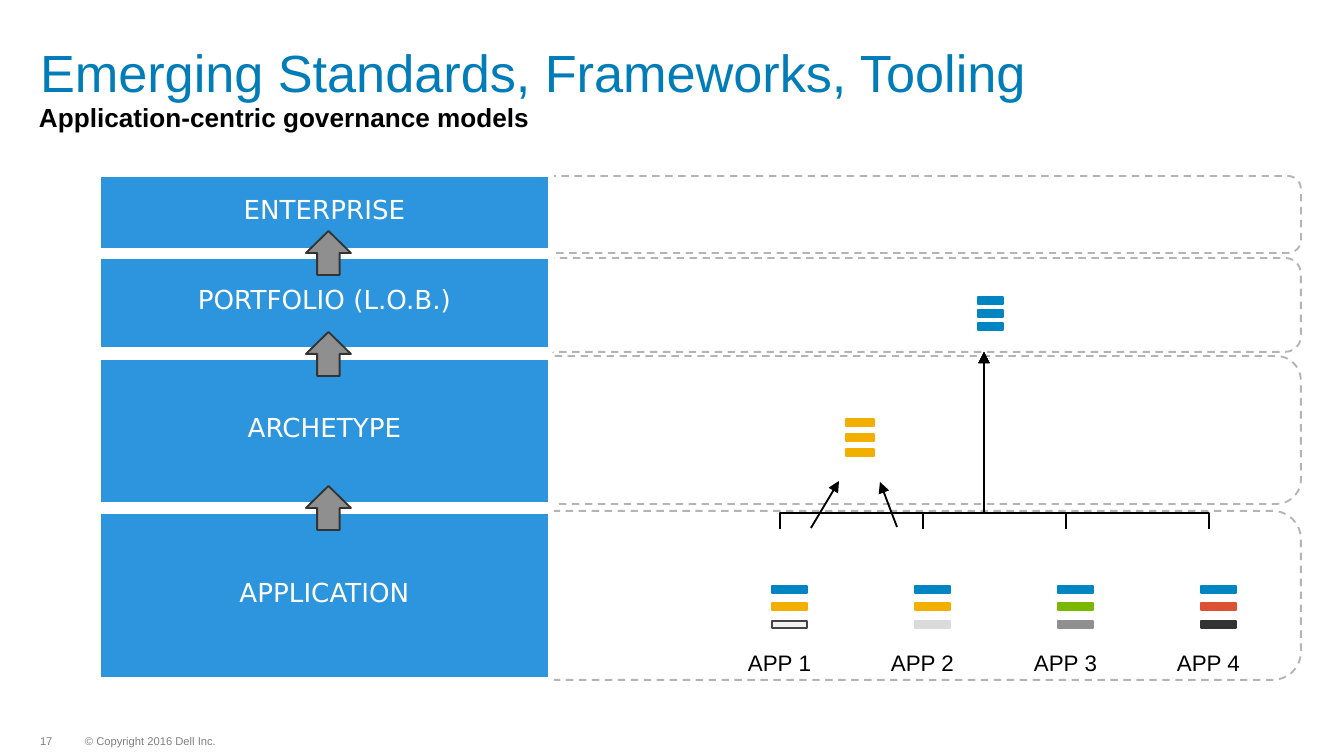
import dataclasses

import pptx
import pptx.dml.color
import pptx.enum.dml
import pptx.enum.shapes
import pptx.enum.text
import pptx.oxml
import pptx.oxml.ns
import pptx.util

PX = 914400 / 134.4
SHAPE = pptx.enum.shapes.MSO_SHAPE
CONNECTOR = pptx.enum.shapes.MSO_CONNECTOR
ALIGN = pptx.enum.text.PP_ALIGN
ANCHOR = pptx.enum.text.MSO_ANCHOR


@dataclasses.dataclass(frozen=True)
class Theme:
    font: str = "Arial"
    level_font: str = "DejaVu Sans"
    title: str = "007DB8"
    level: str = "2C95DD"
    white: str = "FFFFFF"
    black: str = "000000"
    dash: str = "B4B4B4"
    footer: str = "7F7F7F"
    blue: str = "0085C3"
    yellow: str = "F2AF00"
    green: str = "7AB800"
    red: str = "DC5034"
    gray: str = "8F8F8F"
    silver: str = "DADADA"
    pale: str = "F2F2F2"
    pale_edge: str = "444444"
    dark: str = "333333"
    title_size: int = 28
    body_size: int = 14
    label_size: int = 12
    footer_size: int = 6


theme = Theme()


def add_box(kind, frame, fill, line, line_width=1):
    """Add a preset shape; frame is left, top, width, height in px."""
    box = slide.shapes.add_shape(kind, *(round(value * PX) for value in frame))
    box.shadow.inherit = False
    if fill:
        box.fill.solid()
        box.fill.fore_color.rgb = pptx.dml.color.RGBColor.from_string(fill)
    else:
        box.fill.background()
    box.line.color.rgb = pptx.dml.color.RGBColor.from_string(line)
    box.line.width = pptx.util.Pt(line_width)
    return box


def write(box, text, size, color, font=theme.font, align=ALIGN.LEFT,
          anchor=ANCHOR.TOP, insets=(0, 7, 0, 7), wrap=True, spacing=1.0, bold=False):
    """Put one formatted paragraph in a box; insets are left, top, right, bottom px."""
    frame = box.text_frame
    frame.text = text
    frame.word_wrap = wrap
    frame.auto_size = pptx.enum.text.MSO_AUTO_SIZE.NONE
    frame.vertical_anchor = anchor
    (frame.margin_left, frame.margin_top,
     frame.margin_right, frame.margin_bottom) = (round(inset * PX) for inset in insets)
    para = frame.paragraphs[0]
    para.alignment = align
    para.line_spacing = spacing
    para.space_before = pptx.util.Pt(0)
    span = para.runs[0]
    span.font.name = font
    span.font.size = pptx.util.Pt(size)
    span.font.bold = bold
    span.font.color.rgb = pptx.dml.color.RGBColor.from_string(color)


deck = pptx.Presentation()
deck.slide_width = round(1344 * PX)
deck.slide_height = round(756 * PX)
slide = deck.slides.add_slide(deck.slide_layouts[5])

# Title, subtitle and footer
title = slide.shapes.title
title.left, title.top, title.width, title.height = (
    round(value * PX) for value in (40, 40, 1169, 94))
write(title, "Emerging Standards, Frameworks, Tooling", theme.title_size, theme.title,
      spacing=0.9)

subtitle = slide.shapes.add_textbox(*(round(value * PX) for value in (39, 94, 1171, 46)))
write(subtitle, "Application-centric governance models", theme.body_size, theme.black,
      bold=True)

for left, width, text in [(40, 14, "17"), (85, 132, "© Copyright 2016 Dell Inc.")]:
    footer = slide.shapes.add_textbox(
        *(round(value * PX) for value in (left, 736, width, 12)))
    write(footer, text, theme.footer_size, theme.footer, anchor=ANCHOR.MIDDLE,
          insets=(0, 0, 0, 0), wrap=False, spacing=0.9)

# Governance levels: name, band top, box top, height
levels = [
    ("ENTERPRISE", 176, 174, 77),
    ("PORTFOLIO (L.O.B.)", 258, 256, 94),
    ("ARCHETYPE", 356, 357, 148),
    ("APPLICATION", 511, 511, 169),
]
for name, band_top, box_top, height in levels:
    band = add_box(SHAPE.ROUNDED_RECTANGLE, (504, band_top, 797, height), None, theme.dash)
    band.line.dash_style = pptx.enum.dml.MSO_LINE.DASH
for name, band_top, box_top, height in levels:
    box = add_box(SHAPE.RECTANGLE, (98, box_top, 453, height), theme.level, theme.white, 3)
    write(box, name, theme.body_size, theme.white, font=theme.level_font,
          align=ALIGN.CENTER, anchor=ANCHOR.MIDDLE, insets=(0, 0, 0, 7))
for top in (486, 332, 231):
    add_box(SHAPE.UP_ARROW, (306, top, 45, 44), theme.gray, theme.dark)

# Stacks of policy bars: left, top, bar width, row step, colours
APP_STEP = 143
app_colors = [
    (theme.blue, theme.yellow, theme.pale),
    (theme.blue, theme.yellow, theme.silver),
    (theme.blue, theme.green, theme.gray),
    (theme.blue, theme.red, theme.dark),
]
stacks = [
    (978, 297, 25, 13, (theme.blue,) * 3),
    (846, 419, 28, 15, (theme.yellow,) * 3),
]
for app, colors in enumerate(app_colors):
    stacks.append((772 + app * APP_STEP, 586, 35, 17.5, colors))
for left, top, width, step, colors in stacks:
    for row, color in enumerate(colors):
        edge = theme.pale_edge if color == theme.pale else color
        add_box(SHAPE.RECTANGLE, (left, top + row * step, width, 7), color, edge)

# Arrows: the first two rise to the archetype, the elbows meet at the portfolio
arrows = [
    (CONNECTOR.STRAIGHT, (811, 528, 839, 481), None),
    (CONNECTOR.STRAIGHT, (897, 527, 880, 482), None),
]
end_x, end_y, start_y = 984, 352, 529
for app in range(len(app_colors)):
    start_x = 780 + app * APP_STEP
    center_x, center_y = (start_x + end_x) / 2, (start_y + end_y) / 2
    half_rise, half_run = (start_y - end_y) / 2, abs(end_x - start_x) / 2
    # The elbow lies on its side before it is turned upright
    side, turn = (1, 90) if start_x < end_x else (-1, 270)
    arrows.append((CONNECTOR.ELBOW,
                   (center_x + side * half_rise, center_y + half_run,
                    center_x - side * half_rise, center_y - half_run), turn))
for kind, ends, turn in arrows:
    arrow = slide.shapes.add_connector(kind, *(round(value * PX) for value in ends))
    arrow.line.color.rgb = pptx.dml.color.RGBColor.from_string(theme.black)
    arrow.line.width = pptx.util.Pt(1)
    properties = arrow._element.spPr
    head = pptx.oxml.parse_xml(
        f'<a:tailEnd {pptx.oxml.ns.nsdecls("a")} type="triangle"/>')
    properties.find(pptx.oxml.ns.qn("a:ln")).append(head)
    properties.append(pptx.oxml.parse_xml(
        f'<a:effectLst {pptx.oxml.ns.nsdecls("a")}/>'))
    if turn:
        properties.find(pptx.oxml.ns.qn("a:xfrm")).set("rot", str(turn * 60000))
        bend = pptx.oxml.parse_xml(
            f'<a:gd {pptx.oxml.ns.nsdecls("a")} name="adj1" fmla="val 8900"/>')
        geometry = properties.find(pptx.oxml.ns.qn("a:prstGeom"))
        geometry.find(pptx.oxml.ns.qn("a:avLst")).append(bend)

# Application labels
for app in range(len(app_colors)):
    label = slide.shapes.add_textbox(
        *(round(value * PX) for value in (734 + app * APP_STEP, 642, 91, 40)))
    write(label, f"APP {app + 1}", theme.label_size, theme.black, align=ALIGN.CENTER,
          insets=(13, 7, 13, 7), wrap=False)

deck.save("out.pptx")
